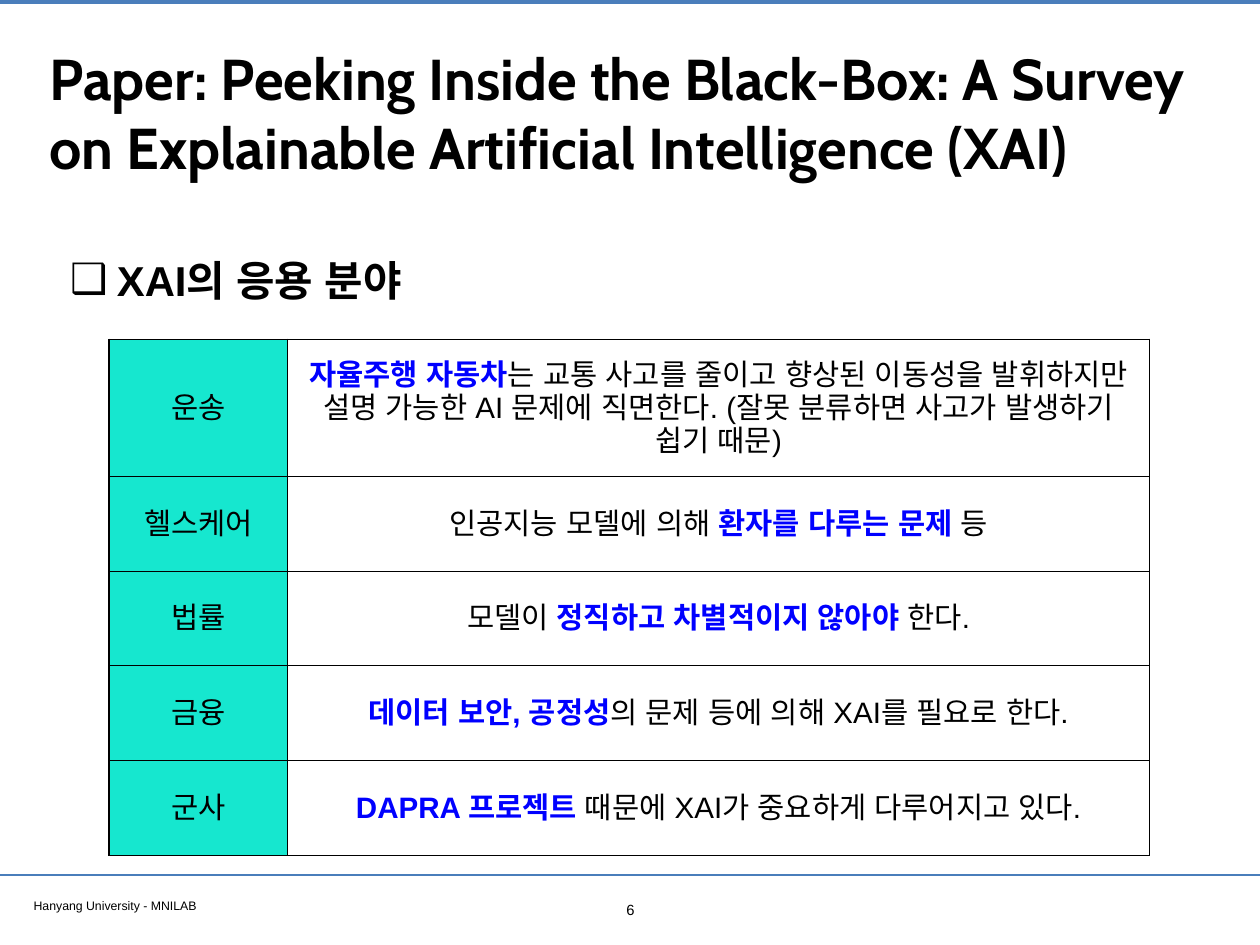
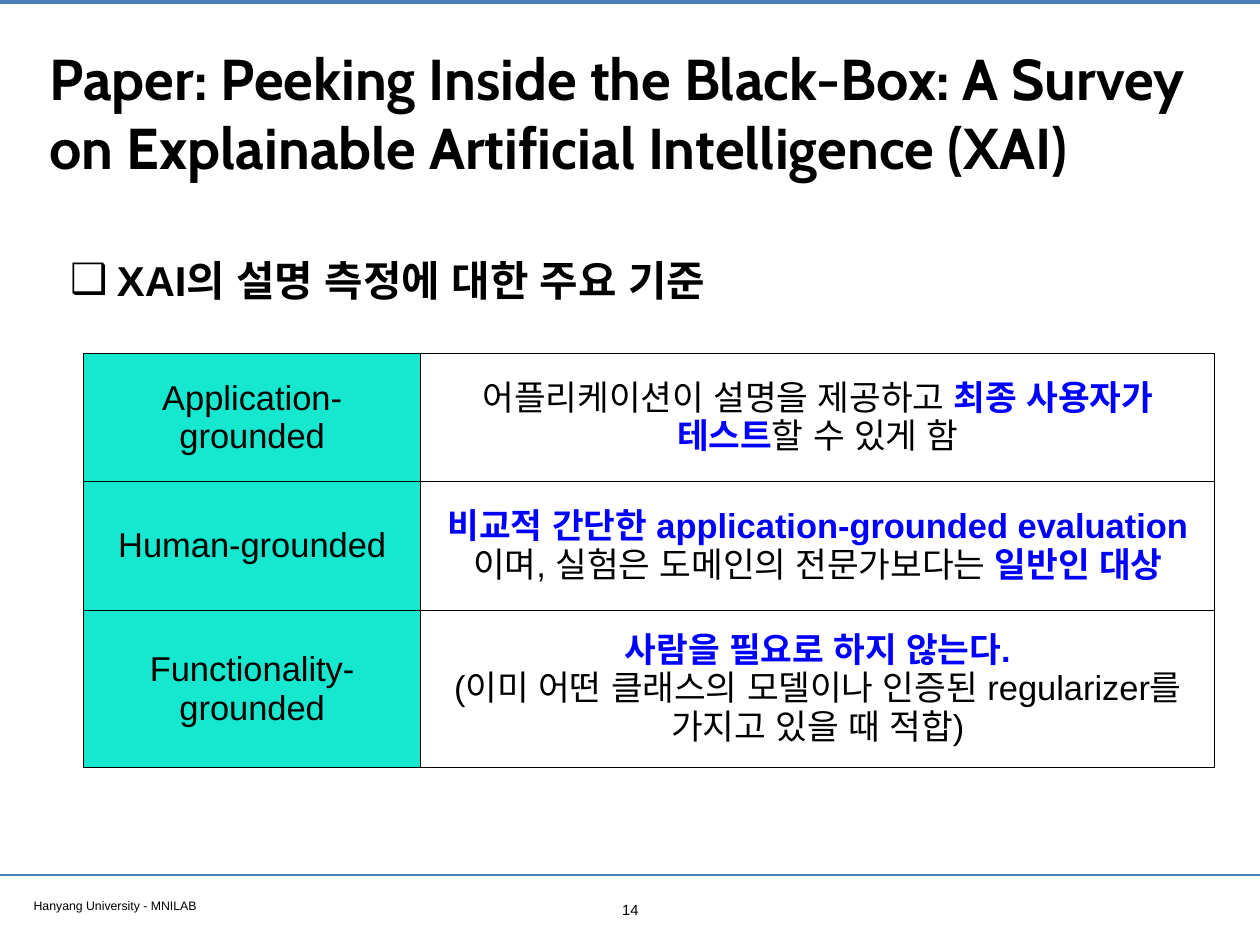
from dataclasses import dataclass

from lxml.etree import SubElement
from pptx import Presentation
from pptx.dml.color import RGBColor
from pptx.enum.shapes import MSO_CONNECTOR
from pptx.enum.text import MSO_ANCHOR as Anchor, PP_ALIGN as Align
from pptx.oxml.ns import qn
from pptx.slide import Slide
from pptx.text.text import TextFrame
from pptx.util import Inches, Pt

COLORS = {"rule": "4A7EBB", "text": "000000", "key": "0000FF", "label": "16E7CF"}
WIDTH, HEIGHT = 14.22, 10.67
PADDING = 0.05
TITLE = "Paper: Peeking Inside the Black-Box: A Survey on Explainable Artificial Intelligence (XAI)"
FOOTER = "Hanyang University - MNILAB"


@dataclass
class Grid:
    left: float
    top: float
    columns: tuple[float, float]
    heights: list[float]
    size: float
    rows: list[tuple[str, str]]  # label, description with *key phrases*


@dataclass
class Page:
    number: int
    heading: str
    grid: Grid


# The three-line rows are taller than the others
PAGES = [
    Page(6, "XAI의 응용 분야", Grid(1.23, 3.83, (2.02, 9.72), [1.55] + [1.07] * 4, 24, [
        ("운송", "*자율주행 자동차*는 교통 사고를 줄이고 향상된 이동성을 발휘하지만 "
               "설명 가능한 AI 문제에 직면한다. (잘못 분류하면 사고가 발생하기 쉽기 때문)"),
        ("헬스케어", "인공지능 모델에 의해 *환자를 다루는 문제 *등"),
        ("법률", "모델이 *정직하고 차별적이지 않아야 *한다."),
        ("금융", "*데이터 보안, 공정성*의 문제 등에 의해 XAI를 필요로 한다."),
        ("군사", "*DAPRA 프로젝트 *때문에 XAI가 중요하게 다루어지고 있다."),
    ])),
    Page(14, "XAI의 설명 측정에 대한 주요 기준", Grid(
        0.94, 3.99, (3.81, 8.96), [1.45] * 2 + [1.78], 28, [
            ("Application-grounded", "어플리케이션이 설명을 제공하고 *최종 사용자가 테스트*할 수 있게 함"),
            ("Human-grounded", "*비교적 간단한 application-grounded evaluation*이며, "
                               "실험은 도메인의 전문가보다는 *일반인 대상*"),
            ("Functionality-grounded", "*사람을 필요로 하지 않는다.*\n"
                                       "(이미 어떤 클래스의 모델이나 인증된 regularizer를 가지고 있을 때 적합)"),
        ])),
]


def rgb(name: str) -> RGBColor:
    return RGBColor.from_string(COLORS[name])


def write(frame: TextFrame, text: str, *, size: float, font: str = "Arial",
          bold: bool = False, align: Align = Align.LEFT, bullet: str = "") -> None:
    """Fill a frame, one paragraph a line; *phrases* become bold and blue."""
    for index, line in enumerate(text.split("\n")):
        paragraph = frame.paragraphs[0] if index == 0 else frame.add_paragraph()
        paragraph.alignment = align
        if bullet:
            props = paragraph._p.get_or_add_pPr()
            props.set("marL", str(Inches(0.53)))
            props.set("indent", str(-Inches(0.53)))
            SubElement(props, qn("a:buFont"), typeface=font)
            SubElement(props, qn("a:buChar"), char=bullet)
            paragraph.line_spacing = 1.2
        for position, part in enumerate(line.split("*")):
            if not part:
                continue
            is_key = position % 2 == 1
            run = paragraph.add_run()
            run.text = part
            run.font.size = Pt(size)
            run.font.name = font
            run.font.bold = bold or is_key
            run.font.color.rgb = rgb("key" if is_key else "text")
            # Korean text takes the East Asian typeface
            SubElement(run._r.get_or_add_rPr(), qn("a:ea"), typeface=font)


def text_frame(slide: Slide, left: float, top: float, width: float, height: float,
               anchor: Anchor = Anchor.TOP) -> TextFrame:
    frame = slide.shapes.add_textbox(
        Inches(left), Inches(top), Inches(width), Inches(height)).text_frame
    frame.word_wrap = True
    frame.vertical_anchor = anchor
    frame.margin_left = frame.margin_right = Inches(PADDING)
    frame.margin_top = frame.margin_bottom = Inches(PADDING)
    return frame


def add_rule(slide: Slide, y: float, weight: float) -> None:
    rule = slide.shapes.add_connector(
        MSO_CONNECTOR.STRAIGHT, 0, Inches(y), Inches(WIDTH), Inches(y))
    rule.line.color.rgb = rgb("rule")
    rule.line.width = Pt(weight)
    SubElement(rule._element.spPr, qn("a:effectLst"))


def add_frame(slide: Slide, number: int) -> None:
    """Draw what every slide shares: rules, title, footer and page number."""
    add_rule(slide, 0.02, 3.2)
    add_rule(slide, 9.88, 2)
    write(text_frame(slide, 0.33, 10.09, 5.46, 0.26), FOOTER, size=10)
    write(text_frame(slide, 0.51, 0.28, 13.21, 1.97, Anchor.MIDDLE), TITLE,
          size=46.8, font="Cabin", bold=True)
    write(text_frame(slide, 6.92, 10.12, 0.39, 0.31), str(number),
          size=12, align=Align.CENTER)


def add_grid(slide: Slide, grid: Grid) -> None:
    table = slide.shapes.add_table(
        len(grid.rows), len(grid.columns), Inches(grid.left), Inches(grid.top),
        Inches(sum(grid.columns)), Inches(sum(grid.heights))).table
    table.first_row = table.horz_banding = False
    for column, width in zip(table.columns, grid.columns):
        column.width = Inches(width)
    for row, height, texts in zip(table.rows, grid.heights, grid.rows):
        row.height = Inches(height)
        for index, (cell, text) in enumerate(zip(row.cells, texts)):
            cell.vertical_anchor = Anchor.MIDDLE
            write(cell.text_frame, text, size=grid.size, align=Align.CENTER)
            # Cell borders precede the fill in the XML
            for side in ("lnL", "lnR", "lnT", "lnB"):
                border = SubElement(cell._tc.get_or_add_tcPr(), qn(f"a:{side}"), w=str(Pt(1)))
                fill = SubElement(border, qn("a:solidFill"))
                SubElement(fill, qn("a:srgbClr"), val=COLORS["text"])
            if index == 0:
                cell.fill.solid()
                cell.fill.fore_color.rgb = rgb("label")
            else:
                cell.fill.background()


def main() -> None:
    deck = Presentation()
    deck.slide_width, deck.slide_height = Inches(WIDTH), Inches(HEIGHT)
    for page in PAGES:
        slide = deck.slides.add_slide(deck.slide_layouts[6])
        add_frame(slide, page.number)
        write(text_frame(slide, 0.74, 2.71, 13.35, 0.91), page.heading,
              size=34, bold=True, bullet="❑")
        add_grid(slide, page.grid)
    deck.save("out.pptx")


if __name__ == "__main__":
    main()
